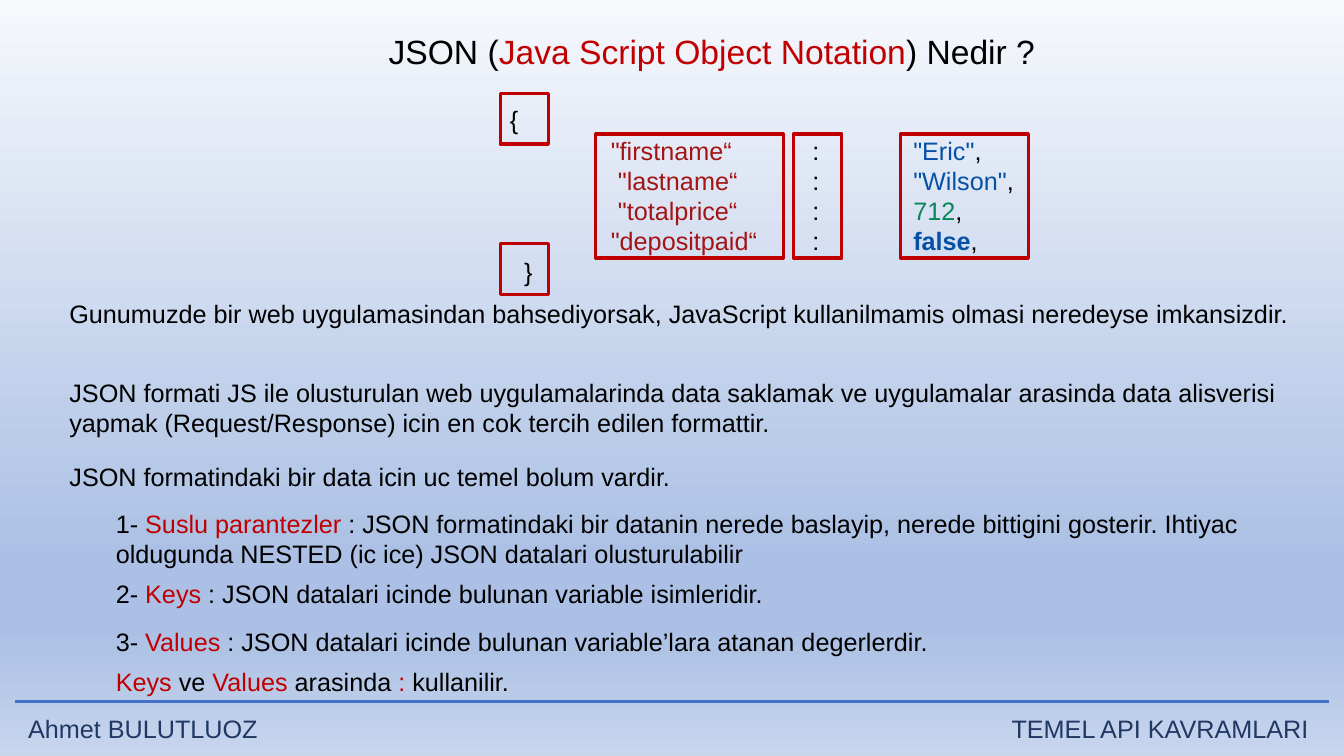
import pptx
import pptx.dml.color
import pptx.enum.dml
import pptx.enum.shapes
import pptx.enum.text
import pptx.oxml
import pptx.oxml.ns
import pptx.util
from dataclasses import dataclass
from pptx.util import Inches


@dataclass(frozen=True)
class Theme:
    font: str = "Arial"
    title_size: int = 24
    body_size: int = 18
    line_width: float = 2.25
    text: str = "000000"
    accent: str = "C00000"
    footer: str = "203864"
    rule: str = "4472C4"
    key: str = "A31515"
    string: str = "0451A5"
    number: str = "098658"
    background: tuple = ((0, "F6F8FC"), (74, "ABC0E4"), (83, "ABC0E4"), (100, "C7D5ED"))


def rgb(value):
    return pptx.dml.color.RGBColor.from_string(value)


def sub(parent, tag, **attributes):
    el = pptx.oxml.parse_xml(f"<{tag} {pptx.oxml.ns.nsdecls('a')}/>")
    for name, value in attributes.items():
        el.set(name, str(value))
    parent.append(el)
    return el


class SlideBuilder:
    def __init__(self, prs, theme):
        self.theme = theme
        self.slide = prs.slides.add_slide(prs.slide_layouts[6])

    def background(self):
        fill = self.slide.background.fill
        fill.gradient()
        fill.gradient_angle = 270
        stops = self.slide.background._cSld.find(".//" + pptx.oxml.ns.qn("a:gsLst"))
        for stop in list(stops):
            stops.remove(stop)
        for position, color in self.theme.background:
            gs = sub(stops, "a:gs", pos=position * 1000)
            sub(gs, "a:srgbClr", val=color)

    def rule(self, x1, y1, x2, y2):
        line = self.slide.shapes.add_connector(
            pptx.enum.shapes.MSO_CONNECTOR.STRAIGHT,
            Inches(x1), Inches(y1), Inches(x2), Inches(y2))
        line.line.color.rgb = rgb(self.theme.rule)
        line.line.width = pptx.util.Pt(self.theme.line_width)
        sub(line._element.spPr, "a:effectLst")

    def frame(self, x, y, w, h):
        sp = self.slide.shapes.add_shape(
            pptx.enum.shapes.MSO_SHAPE.RECTANGLE,
            Inches(x), Inches(y), Inches(w), Inches(h))
        sp.shadow.inherit = False
        sp.fill.background()
        sp.line.color.rgb = rgb(self.theme.accent)
        sp.line.width = pptx.util.Pt(self.theme.line_width)

    def text(self, x, y, w, h, paragraphs, size=None, align=None):
        """Each paragraph is (runs, tabs); a run is text or (text, color, bold); a tab is (inches, side)."""
        tf = self.slide.shapes.add_textbox(Inches(x), Inches(y), Inches(w), Inches(h)).text_frame
        tf.word_wrap = True
        for i, (runs, tabs) in enumerate(paragraphs):
            p = tf.paragraphs[0] if i == 0 else tf.add_paragraph()
            if tabs:
                tab_list = sub(p._p.get_or_add_pPr(), "a:tabLst")
                for position, side in tabs:
                    sub(tab_list, "a:tab", pos=Inches(position), algn=side)
            p.alignment = align
            p.font.name = self.theme.font
            p.font.size = pptx.util.Pt(size or self.theme.body_size)
            for run in runs:
                content, color, *bold = (run, self.theme.text) if isinstance(run, str) else run
                r = p.add_run()
                r.text = content
                r.font.color.rgb = rgb(color)
                if bold:
                    r.font.bold = bold[0]

    def json_sample(self, x, y, w, h, rows):
        paragraphs = [(["{"], ())]
        for key, key_tab, value in rows:
            runs = [(f'\t"{key}“', self.theme.key), "\t:\t", value, ","]
            paragraphs.append((runs, ((key_tab, "l"), (3, "l"), (4, "l"))))
        paragraphs.append((["\t}"], ((0.14, "l"),)))
        self.text(x, y, w, h, paragraphs)


def main():
    prs = pptx.Presentation()
    prs.slide_width, prs.slide_height = Inches(13.33), Inches(7.5)
    t = Theme()
    s = SlideBuilder(prs, t)
    s.background()
    s.rule(0.15, 6.96, 13.18, 6.96)

    title = ["JSON (", ("Java Script Object Notation", t.accent), ") Nedir ?"]
    s.text(3.48, 0.26, 7.16, 0.5, [(title, ())], t.title_size, pptx.enum.text.PP_ALIGN.CENTER)
    footer = [("Ahmet BULUTLUOZ\tTEMEL API KAVRAMLARI", t.footer)]
    s.text(0.18, 7.03, 13.03, 0.4, [(footer, ((12.7, "r"),))])

    s.json_sample(4.96, 0.99, 6.84, 1.92, [
        ("firstname", 1, ('"Eric"', t.string)),
        ("lastname", 1.07, ('"Wilson"', t.string)),
        ("totalprice", 1.07, ("712", t.number)),
        ("depositpaid", 1, ("false", t.string, True)),
    ])

    body_x, body_w = 0.59, 12.43
    item_x, item_w = 1.05, 11.72
    for x, y, w, h, runs in [
        (body_x, 2.91, body_w, 0.71, [
            "Gunumuzde bir web uygulamasindan bahsediyorsak, JavaScript kullanilmamis "
            "olmasi neredeyse imkansizdir."]),
        (body_x, 3.69, body_w, 0.71, [
            "JSON formati JS ile olusturulan web uygulamalarinda data saklamak ve uygulamalar "
            "arasinda data alisverisi yapmak (Request/Response) icin en cok tercih edilen formattir."]),
        (body_x, 4.53, 6.52, 0.4, ["JSON formatindaki bir data icin uc temel bolum vardir."]),
        (item_x, 4.99, item_w, 0.71, [
            "1- ", ("Suslu parantezler ", t.accent),
            ": JSON formatindaki bir datanin nerede baslayip, nerede bittigini gosterir. "
            "Ihtiyac oldugunda NESTED (ic ice) JSON datalari olusturulabilir"]),
        (item_x, 5.69, item_w, 0.4, [
            "2- ", ("Keys", t.accent), " : JSON datalari icinde bulunan variable isimleridir."]),
        (item_x, 6.16, item_w, 0.4, [
            "3- ", ("Values", t.accent),
            " : JSON datalari icinde bulunan variable’lara atanan degerlerdir."]),
        (item_x, 6.56, item_w, 0.4, [
            ("Keys", t.accent), " ve ", ("Values", t.accent), " arasinda ",
            (": ", t.accent), "kullanilir."]),
    ]:
        s.text(x, y, w, h, [(runs, ())])

    for brace_y in (0.93, 2.42):
        s.frame(4.96, brace_y, 0.48, 0.5)
    for column_x, column_w in ((5.91, 1.86), (7.87, 0.48), (8.93, 1.27)):
        s.frame(column_x, 1.33, column_w, 1.23)

    prs.save("out.pptx")


if __name__ == "__main__":
    main()
